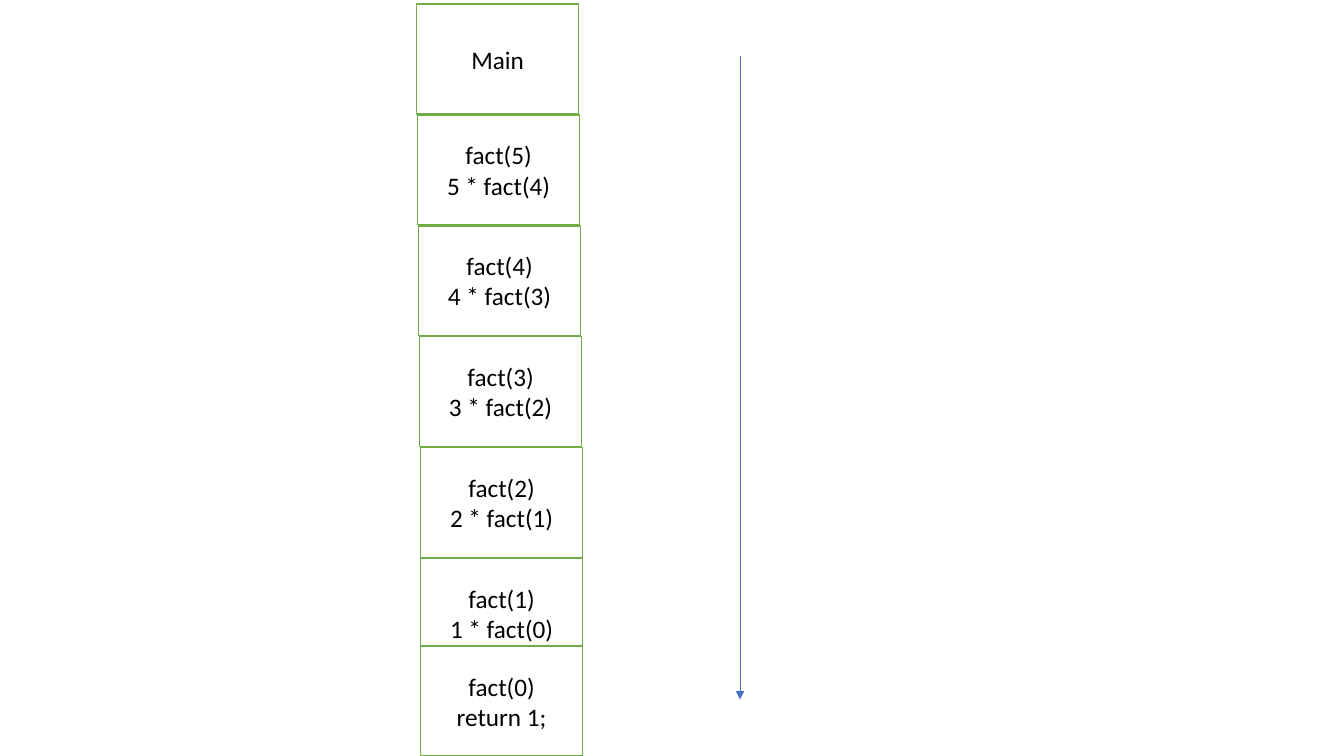
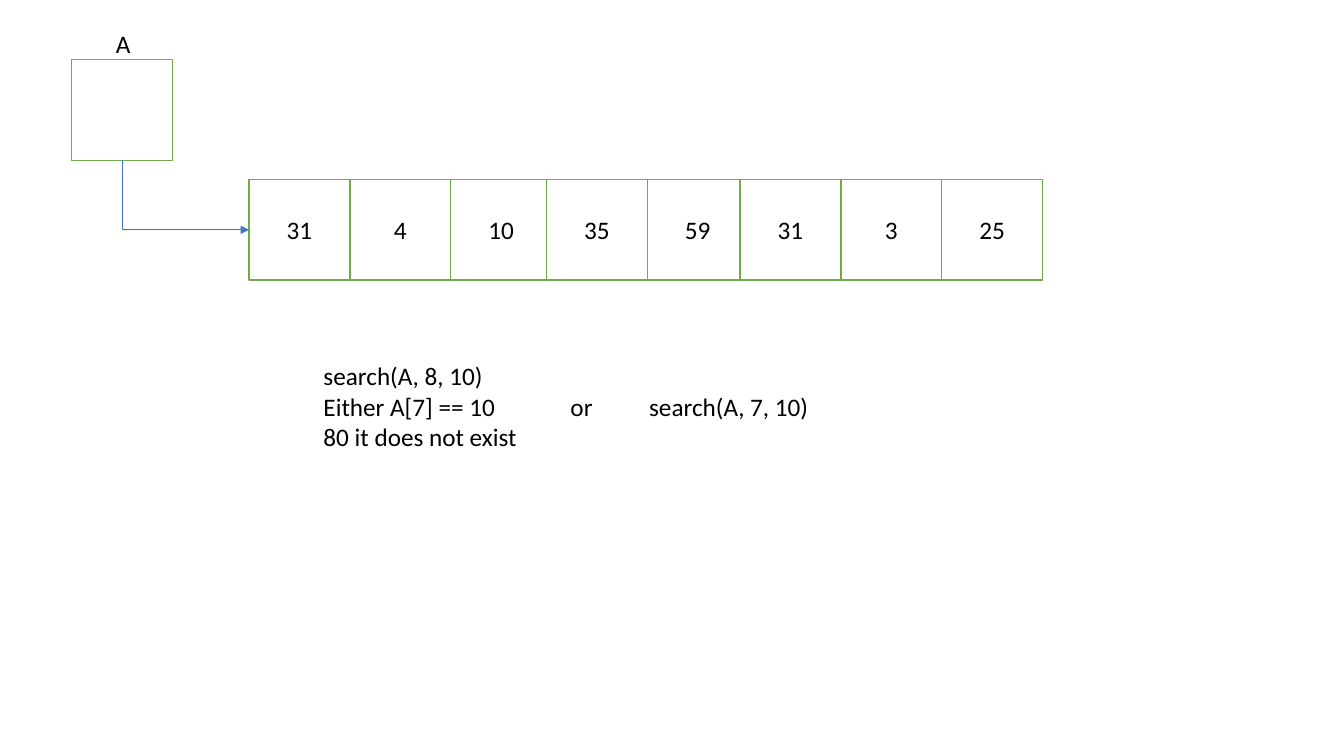
from dataclasses import dataclass

from pptx import Presentation
from pptx.dml.color import RGBColor
from pptx.enum import shapes, text
from pptx.oxml import ns
from pptx.util import Inches, Pt
from lxml import etree


@dataclass(frozen=True)
class Theme:
    font: str = "Calibri"
    size: Pt = Pt(18)
    ink: RGBColor = RGBColor(0x00, 0x00, 0x00)
    paper: RGBColor = RGBColor(0xFF, 0xFF, 0xFF)
    box_line: RGBColor = RGBColor(0x70, 0xAD, 0x47)
    arrow: RGBColor = RGBColor(0x44, 0x72, 0xC4)
    box_width: Pt = Pt(1)
    arrow_width: Pt = Pt(0.5)


THEME = Theme()
SLIDE_WIDTH, SLIDE_HEIGHT = 13.33, 7.5

FRAMES = [
    ["Main"],
    ["fact(5)", "5 * fact(4)"],
    ["fact(4)", "4 * fact(3)"],
    ["fact(3)", "3 * fact(2)"],
    ["fact(2)", "2 * fact(1)"],
    ["fact(1)", "1 * fact(0)"],
    ["fact(0)", "return 1;"],
]
FRAME_WIDTH, FRAME_HEIGHT = 1.61, 1.09
FRAME_LEFT, FRAME_TOP, FRAME_STEP = 4.13, 0.04, 1.1
FRAME_DRIFT, MAX_DRIFT = 0.01, 0.04

# Each value with the distance to the next cell; some cells overlap.
CELLS = [("31", 1), ("4", 1), ("10", 0.95), ("35", 1),
         ("59", 0.92), ("31", 1), ("3", 1), ("25", 1)]
CELL_SIZE, CELLS_LEFT, CELLS_TOP = 1, 2.47, 1.78
POINTER_LEFT, POINTER_TOP = 0.71, 0.59

SEARCH_NOTES = [
    "search(A, 8, 10)",
    "Either A[7] == 10\tor\tsearch(A, 7, 10)",
    "80 it does not exist",
]
NOTE_TABS = (2.45, 3.23)


def add_lines(frame, lines, align, tabs=()):
    for index, line in enumerate(lines):
        paragraph = frame.paragraphs[0] if index == 0 else frame.add_paragraph()
        paragraph.alignment = align
        if tabs and "\t" in line:
            tab_list = etree.SubElement(paragraph._p.get_or_add_pPr(), ns.qn("a:tabLst"))
            for position in tabs:
                etree.SubElement(tab_list, ns.qn("a:tab"), pos=str(Inches(position)), algn="l")
        run = paragraph.add_run()
        run.text = line
        run.font.name, run.font.size = THEME.font, THEME.size
        run.font.color.rgb = THEME.ink


def add_box(slide, left, top, width, height, lines=()):
    shape = slide.shapes.add_shape(
        shapes.MSO_SHAPE.RECTANGLE, Inches(left), Inches(top), Inches(width), Inches(height))
    shape.shadow.inherit = False
    shape.fill.solid()
    shape.fill.fore_color.rgb = THEME.paper
    shape.line.color.rgb = THEME.box_line
    shape.line.width = THEME.box_width
    shape.text_frame.vertical_anchor = text.MSO_ANCHOR.MIDDLE
    add_lines(shape.text_frame, lines, text.PP_ALIGN.CENTER)
    return shape


def add_text(slide, left, top, width, height, lines, wrap=True, tabs=()):
    box = slide.shapes.add_textbox(Inches(left), Inches(top), Inches(width), Inches(height))
    box.text_frame.word_wrap = wrap
    box.text_frame.auto_size = text.MSO_AUTO_SIZE.SHAPE_TO_FIT_TEXT
    add_lines(box.text_frame, lines, text.PP_ALIGN.LEFT, tabs)


def add_arrow(slide, kind, start, end):
    connector = slide.shapes.add_connector(kind, *map(Inches, (*start, *end)))
    connector.line.color.rgb = THEME.arrow
    connector.line.width = THEME.arrow_width
    etree.SubElement(connector.line._get_or_add_ln(), ns.qn("a:tailEnd"), type="triangle")
    etree.SubElement(connector._element.spPr, ns.qn("a:effectLst"))
    return connector


def bend_down_then_right(connector):
    """Give an elbow connector a single corner, below its start."""
    left, top = connector.left, connector.top
    across, down = connector.width, connector.height
    connector.left, connector.top = left + (across - down) // 2, top + (down - across) // 2
    connector.width, connector.height = down, across
    properties = connector._element.spPr
    transform = properties.find(ns.qn("a:xfrm"))
    transform.set("rot", str(270 * 60000))
    transform.set("flipH", "1")
    properties.find(ns.qn("a:prstGeom")).set("prst", "bentConnector2")


def build_call_stack(slide):
    for index, lines in enumerate(FRAMES):
        left = FRAME_LEFT + min(index * FRAME_DRIFT, MAX_DRIFT)
        top = min(FRAME_TOP + index * FRAME_STEP, SLIDE_HEIGHT - FRAME_HEIGHT)
        add_box(slide, left, top, FRAME_WIDTH, FRAME_HEIGHT, lines)
    add_arrow(slide, shapes.MSO_CONNECTOR.STRAIGHT, (7.34, 0.56), (7.34, 6.94))


def build_array_search(slide):
    pointer = add_box(slide, POINTER_LEFT, POINTER_TOP, CELL_SIZE, CELL_SIZE)
    cells, left = [], CELLS_LEFT
    for value, step in CELLS:
        cells.append(add_box(slide, left, CELLS_TOP, CELL_SIZE, CELL_SIZE, [value]))
        left += step
    add_text(slide, 1.05, 0.23, 0.35, 0.4, ["A"], wrap=False)

    start = POINTER_LEFT + CELL_SIZE / 2, POINTER_TOP + CELL_SIZE
    end = CELLS_LEFT, CELLS_TOP + CELL_SIZE / 2
    link = add_arrow(slide, shapes.MSO_CONNECTOR.ELBOW, start, end)
    link.begin_connect(pointer, 2)
    link.end_connect(cells[0], 1)
    bend_down_then_right(link)

    add_text(slide, 3.11, 3.53, 6.11, 1.01, SEARCH_NOTES, tabs=NOTE_TABS)


def main():
    presentation = Presentation()
    presentation.slide_width = Inches(SLIDE_WIDTH)
    presentation.slide_height = Inches(SLIDE_HEIGHT)
    blank = presentation.slide_layouts[6]
    for build in (build_call_stack, build_array_search):
        build(presentation.slides.add_slide(blank))
    presentation.save("out.pptx")


if __name__ == "__main__":
    main()
